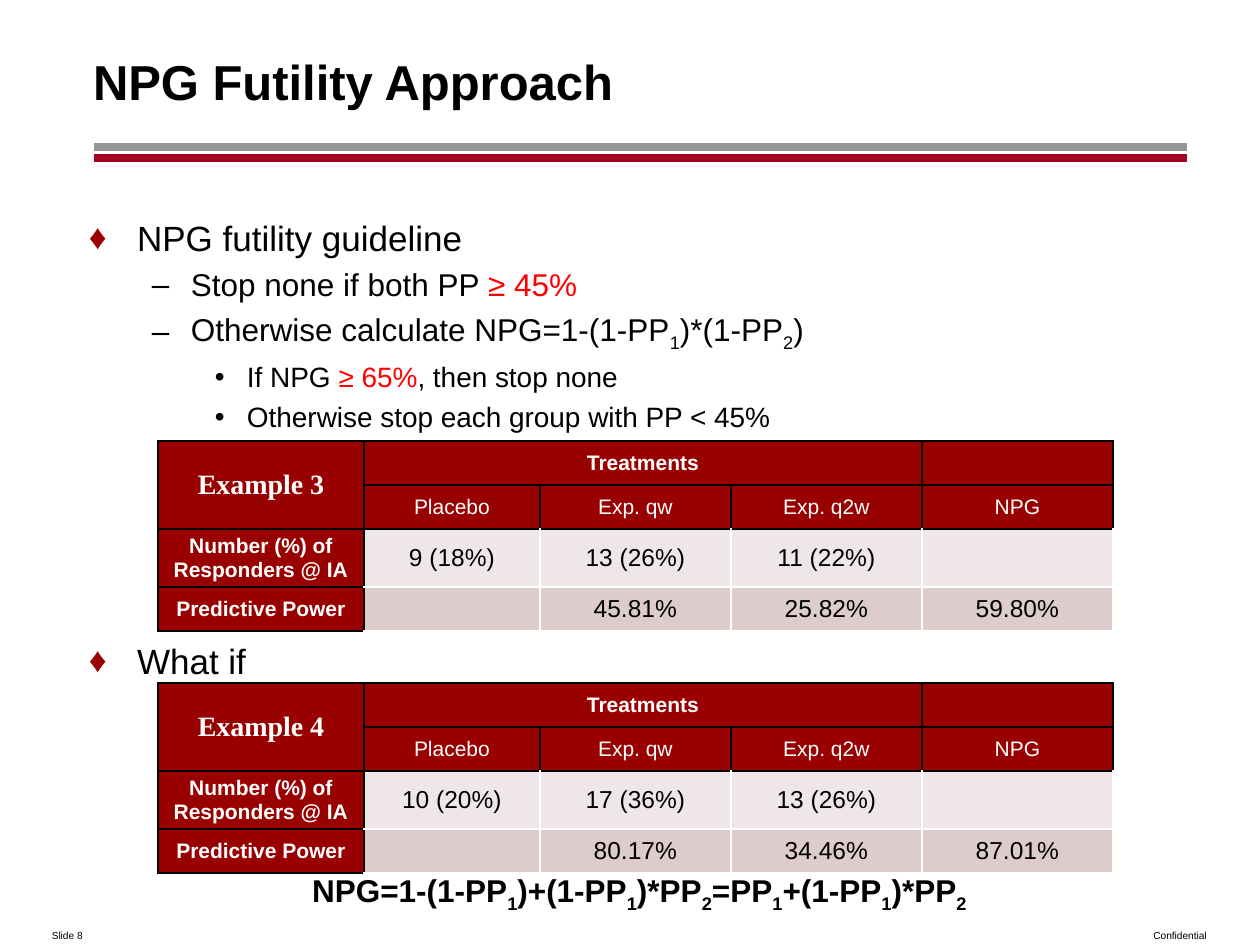
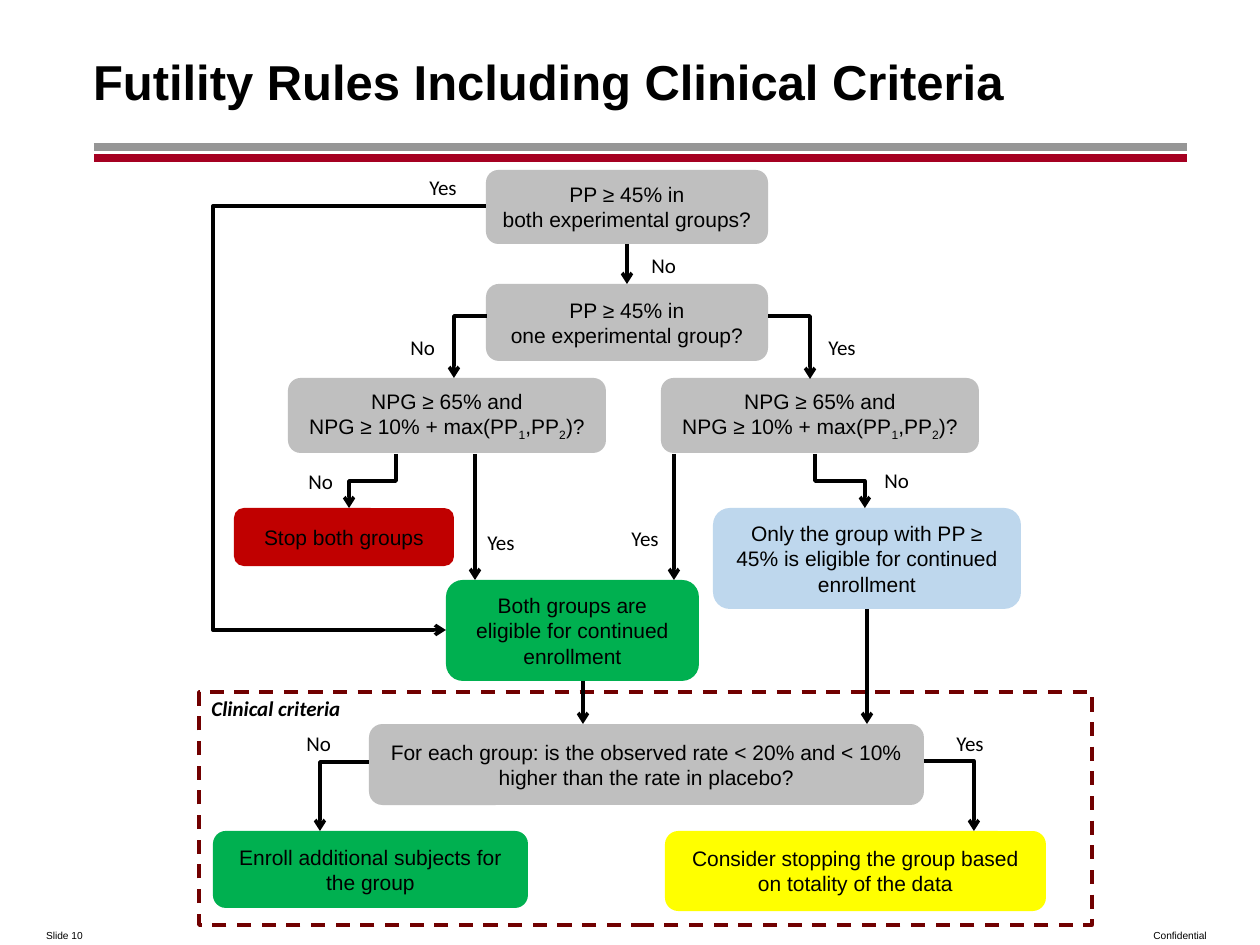
import pptx
import pptx.util
import pptx.dml.color
import pptx.enum.dml
import pptx.enum.shapes
import pptx.enum.text
import pptx.oxml.ns
import lxml.etree

PIXELS_PER_INCH = 126
BLACK, WHITE, RED = "000000", "FFFFFF", "FF0000"
RULE_GRAY, RULE_RED = "969696", "A50021"
DARK_RED, BAND_LIGHT, BAND_DARK = "990000", "EFE7E7", "DECCCC"
QUESTION, GREEN, STOP, BLUE, YELLOW = "BFBFBF", "00B050", "C00000", "7FB1DD", "FFFF00"
FRAME = "710000"

ALIGN = pptx.enum.text.PP_ALIGN
ANCHOR = pptx.enum.text.MSO_ANCHOR
SHAPE = pptx.enum.shapes.MSO_SHAPE
CONNECTOR = pptx.enum.shapes.MSO_CONNECTOR
MIDDLE = {"vertical_anchor": ANCHOR.MIDDLE}
FLUSH = {"margin_left": 0}


def px(length):
    return pptx.util.Emu(round(length * 914400 / PIXELS_PER_INCH))


def box_px(box):
    return [px(length) for length in box]


def color(hex_text):
    return pptx.dml.color.RGBColor.from_string(hex_text)


def apply(target, values):
    for name, value in values.items():
        setattr(target, name, value)


def child(parent, tag, **attributes):
    element = lxml.etree.SubElement(parent, pptx.oxml.ns.qn(tag))
    for name, value in attributes.items():
        element.set(name, str(value))
    return element


# Text: "~" switches red on and off, "_" lowers the next character
def add_run(paragraph, text, size, hex_text, font, lowered=False):
    if not text:
        return
    run = paragraph.add_run()
    run.text = text
    apply(run.font, {"name": "Arial", "size": pptx.util.Pt(size), **font})
    run.font.color.rgb = color(hex_text)
    if lowered:
        run.font._element.set("baseline", "-25000")


def write(paragraph, text, size, hex_text=BLACK, align=ALIGN.LEFT, **font):
    paragraph.alignment = align
    for part_index, part in enumerate(text.split("~")):
        shade = RED if part_index % 2 else hex_text
        first, *lowered_parts = part.split("_")
        add_run(paragraph, first, size, shade, font)
        for piece in lowered_parts:
            add_run(paragraph, piece[0], size, shade, font, lowered=True)
            add_run(paragraph, piece[1:], size, shade, font)


def write_lines(frame, text, size, **style):
    for index, line in enumerate(text.split("\n")):
        paragraph = frame.add_paragraph() if index else frame.paragraphs[0]
        write(paragraph, line, size, **style)


def add_text(slide, box, text, size, frame_values=None, **style):
    frame = slide.shapes.add_textbox(*box_px(box)).text_frame
    apply(frame, {"word_wrap": True, **(frame_values or {})})
    write_lines(frame, text, size, **style)
    return frame


# Lines and arrows
def add_line(slide, start, end, hex_text=BLACK, width=2, arrow=False, kind=CONNECTOR.STRAIGHT):
    line = slide.shapes.add_connector(kind, *box_px([*start, *end]))
    line.line.color.rgb = color(hex_text)
    line.line.width = pptx.util.Pt(width)
    if arrow:
        child(line.line._get_or_add_ln(), "a:tailEnd", type="arrow")
    child(line._element.spPr, "a:effectLst")
    return line


def add_elbow(slide, start, end, preset, bend=None):
    elbow = add_line(slide, start, end, arrow=True, kind=CONNECTOR.ELBOW)
    geometry = elbow._element.spPr.find(pptx.oxml.ns.qn("a:prstGeom"))
    geometry.set("prst", preset)
    if bend is not None:
        guides = geometry.find(pptx.oxml.ns.qn("a:avLst"))
        if guides is None:
            guides = child(geometry, "a:avLst")
        child(guides, "a:gd", name="adj1", fmla=f"val {round(bend * 100000)}")
    return elbow


def add_side_elbow(slide, start, end):
    """Leaves sideways, then drops."""
    add_elbow(slide, start, end, "bentConnector2")


def add_drop_elbow(slide, start, end):
    """Drops, shifts sideways halfway, then drops again."""
    (x1, y1), (x2, y2) = start, end
    center_x, center_y = (x1 + x2) / 2, (y1 + y2) / 2
    half_drop, half_shift = (y2 - y1) / 2, abs(x2 - x1) / 2
    rightward = x2 > x1
    reach = -half_drop if rightward else half_drop
    elbow = add_elbow(slide, (center_x - reach, center_y - half_shift),
                      (center_x + reach, center_y + half_shift), "bentConnector3", 0.5)
    xfrm = elbow._element.spPr.find(pptx.oxml.ns.qn("a:xfrm"))
    xfrm.set("rot", str((270 if rightward else 90) * 60000))


# Shared slide frame: title, double rule, footers
def add_base_slide(presentation, title, number):
    slide = presentation.slides.add_slide(presentation.slide_layouts[6])
    for y, shade in ((147, RULE_GRAY), (158, RULE_RED)):
        add_line(slide, (94, y), (1187, y), shade, 4.25)
    add_text(slide, (93, 18, 1089, 125), title, 28, {**MIDDLE, **FLUSH}, bold=True)
    footer = {**MIDDLE, "margin_top": 0, "margin_bottom": 0}
    add_text(slide, (1141, 925, 118, 20), "Confidential", 5.8, footer)
    add_text(slide, (5, 925, 90, 20), f"Slide {number}", 5.8, footer, align=ALIGN.RIGHT)
    return slide


# Bulleted guideline: (size, left margin, hanging indent, bullet) by level
LEVELS = [(20, 48, 48, "♦"), (18, 102, 39, "–"), (16, 158, 32, "•")]


def add_guideline(slide, box, items):
    frame = slide.shapes.add_textbox(*box_px(box)).text_frame
    apply(frame, {"word_wrap": True, **FLUSH})
    for index, (level, text, gap) in enumerate(items):
        size, margin, hanging, bullet = LEVELS[level]
        paragraph = frame.add_paragraph() if index else frame.paragraphs[0]
        write(paragraph, text, size)
        paragraph.space_before = pptx.util.Pt(gap or round(size * 0.23, 1))
        properties = paragraph._p.get_or_add_pPr()
        properties.set("marL", str(px(margin)))
        properties.set("indent", str(-px(hanging)))
        if level == 0:
            child(child(properties, "a:buClr"), "a:srgbClr", val=DARK_RED)
        child(properties, "a:buFont", typeface="Arial")
        child(properties, "a:buChar", char=bullet)


# Example tables
COLUMN_WIDTHS = [206, 176, 191, 191, 191]
ROW_HEIGHTS = [44, 44, 58, 44]


def style_cell(cell, row, column):
    header = row < 2 or column == 0
    shade = DARK_RED if header else (BAND_LIGHT, BAND_DARK)[row - 2]
    properties = cell._tc.get_or_add_tcPr()
    dark_sides = {"L": header or column == 1, "R": header, "T": header or row == 2, "B": header}
    for side, dark in dark_sides.items():
        border = child(properties, f"a:ln{side}", w=12700)
        child(child(border, "a:solidFill"), "a:srgbClr", val=BLACK if dark else WHITE)
    cell.fill.solid()
    cell.fill.fore_color.rgb = color(shade)
    apply(cell, {**MIDDLE, "margin_left": px(9), "margin_right": px(9),
                 "margin_top": 0, "margin_bottom": 0})


def add_example(slide, left, top, name, responders, powers):
    rows = [
        [name, "Treatments", "", "", ""],
        ["", "Placebo", "Exp. qw", "Exp. q2w", "NPG"],
        ["Number (%) of Responders @ IA", *responders, ""],
        ["Predictive Power", "", *powers],
    ]
    box = (left, top, sum(COLUMN_WIDTHS), sum(ROW_HEIGHTS))
    frame = slide.shapes.add_table(len(ROW_HEIGHTS), len(COLUMN_WIDTHS), *box_px(box))
    table = frame.table
    for column, width in zip(table.columns, COLUMN_WIDTHS):
        column.width = px(width)
    for row, height in zip(table.rows, ROW_HEIGHTS):
        row.height = px(height)
    for row, texts in enumerate(rows):
        for column, text in enumerate(texts):
            cell = table.cell(row, column)
            style_cell(cell, row, column)
            header = row < 2 or column == 0
            style = {"size": 12 if header else 14, "hex_text": WHITE if header else BLACK,
                     "bold": row == 0 or column == 0}
            if row == column == 0:
                style.update(size=16, name="Times New Roman")
            write(cell.text_frame.paragraphs[0], text, align=ALIGN.CENTER, **style)
    table.cell(0, 0).merge(table.cell(1, 0))
    table.cell(0, 1).merge(table.cell(0, 3))


def build_approach_slide(presentation):
    slide = add_base_slide(presentation, "NPG Futility Approach", 8)
    add_guideline(slide, (89, 210, 1093, 624), [
        (0, "NPG futility guideline", None),
        (1, "Stop none if both PP ~≥ 45%~", None),
        (1, "Otherwise calculate NPG=1-(1-PP_1)*(1-PP_2)", None),
        (2, "If NPG ~≥ 65%~, then stop none", None),
        (2, "Otherwise stop each group with PP < 45%", None),
        (0, "What if", 117.5),
    ])
    add_example(slide, 158, 441, "Example 3", ["9 (18%)", "13 (26%)", "11 (22%)"],
                ["45.81%", "25.82%", "59.80%"])
    add_example(slide, 158, 683, "Example 4", ["10 (20%)", "17 (36%)", "13 (26%)"],
                ["80.17%", "34.46%", "87.01%"])
    add_text(slide, (93, 861, 1105, 63),
             "NPG=1-(1-PP_1)+(1-PP_1)*PP_2=PP_1+(1-PP_1)*PP_2", 18,
             {**MIDDLE, **FLUSH}, align=ALIGN.CENTER, bold=True)


# Decision flow
def add_node(slide, box, text, shade, alpha=None):
    node = slide.shapes.add_shape(SHAPE.ROUNDED_RECTANGLE, *box_px(box))
    node.shadow.inherit = False
    node.line.fill.background()
    node.fill.solid()
    node.fill.fore_color.rgb = color(shade)
    if alpha:
        shade_element = node._element.spPr.find(".//" + pptx.oxml.ns.qn("a:srgbClr"))
        child(shade_element, "a:alpha", val=alpha * 1000)
    apply(node.text_frame, {"word_wrap": True, **MIDDLE})
    write_lines(node.text_frame, text, 12, align=ALIGN.CENTER)
    return node


def add_answers(slide, text, places):
    for left, top in places:
        add_text(slide, (left, top, 53, 38), text, 12, {"word_wrap": False}, name="Calibri")


def add_decisions(slide):
    both_question = add_node(slide, (486, 170, 282, 74),
                             "PP ≥ 45% in\nboth experimental groups?", QUESTION)
    one_question = add_node(slide, (486, 284, 282, 77),
                            "PP ≥ 45% in\none experimental group?", QUESTION)
    for left in (288, 661):
        add_node(slide, (left, 378, 318, 75),
                 "NPG ≥ 65% and\nNPG ≥ 10% + max(PP_1,PP_2)?", QUESTION)
    add_node(slide, (234, 508, 220, 58), "Stop both groups", STOP)
    one_eligible = add_node(slide, (713, 508, 308, 101), "Only the group with PP ≥ 45% "
                            "is eligible for continued enrollment", BLUE, alpha=50)
    add_node(slide, (446, 580, 253, 101),
             "Both groups are eligible for continued enrollment", GREEN)

    # Arrows
    first_no = add_line(slide, (627, 244), (627, 284), arrow=True)
    first_no.begin_connect(both_question, 2)
    first_no.end_connect(one_question, 0)
    one_group = add_line(slide, (867, 609), (867, 724), arrow=True)
    one_group.begin_connect(one_eligible, 2)
    for x, top, bottom in ((475, 454, 580), (674, 454, 580), (583, 681, 724)):
        add_line(slide, (x, top), (x, bottom), arrow=True)
    add_side_elbow(slide, (487, 316), (454, 378))
    add_side_elbow(slide, (768, 316), (810, 379))
    add_drop_elbow(slide, (396, 454), (349, 508))
    add_drop_elbow(slide, (815, 454), (865, 508))
    start_x, end_x, loop_x = 486, 446, 213
    add_elbow(slide, (start_x, 206), (end_x, 630), "bentConnector3",
              (loop_x - start_x) / (end_x - start_x))

    add_answers(slide, "Yes", [(417, 168), (816, 328), (619, 519), (475, 523)])
    add_answers(slide, "No", [(639, 246), (398, 328), (872, 461), (296, 462)])


def add_clinical_criteria(slide, box):
    left, top, width, height = box
    frame = slide.shapes.add_shape(SHAPE.RECTANGLE, *box_px(box))
    frame.shadow.inherit = False
    frame.fill.background()
    frame.line.color.rgb = color(FRAME)
    apply(frame.line, {"width": pptx.util.Pt(2),
                       "dash_style": pptx.enum.dml.MSO_LINE.DASH})
    add_text(slide, (left, top - 3, 209, 38), "Clinical criteria", 12,
             name="Calibri", bold=True, italic=True)
    add_node(slide, (left + 170, top + 32, 555, 81), "For each group: is the observed rate "
             "< 20% and < 10% higher than the rate in placebo?", QUESTION)
    add_node(slide, (left + 14, top + 139, 315, 77),
             "Enroll additional subjects for the group", GREEN)
    add_node(slide, (left + 466, top + 139, 381, 80),
             "Consider stopping the group based on totality of the data", YELLOW)
    add_side_elbow(slide, (left + 170, top + 70), (left + 121, top + 139))
    add_side_elbow(slide, (left + 725, top + 69), (left + 775, top + 139))
    add_answers(slide, "No", [(left + 95, top + 32)])
    add_answers(slide, "Yes", [(left + 745, top + 32)])


def build_rules_slide(presentation):
    slide = add_base_slide(presentation, "Futility Rules Including Clinical Criteria", 10)
    add_clinical_criteria(slide, (199, 692, 893, 233))
    add_decisions(slide)


def main():
    presentation = pptx.Presentation()
    apply(presentation, {"slide_width": px(1260), "slide_height": px(945)})
    build_approach_slide(presentation)
    build_rules_slide(presentation)
    presentation.save("out.pptx")


if __name__ == "__main__":
    main()
